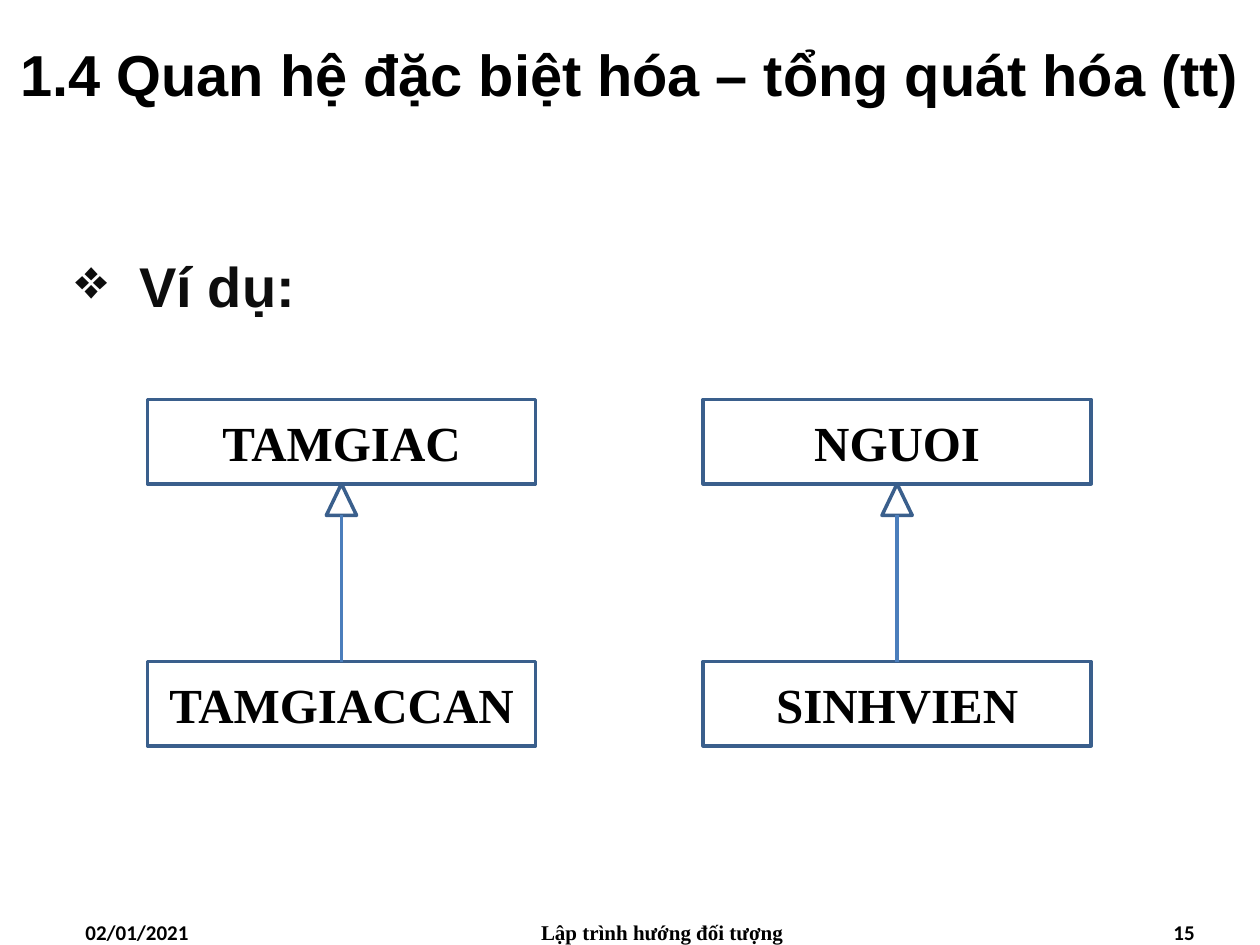
from dataclasses import dataclass

from lxml import etree
from pptx import Presentation
from pptx.dml.color import RGBColor
from pptx.enum.shapes import MSO_CONNECTOR, MSO_SHAPE
from pptx.enum.text import MSO_ANCHOR, PP_ALIGN
from pptx.oxml.ns import qn
from pptx.slide import Slide
from pptx.text.text import TextFrame
from pptx.util import Inches, Pt

RECTANGLE = MSO_SHAPE.RECTANGLE
TRIANGLE = MSO_SHAPE.ISOSCELES_TRIANGLE
STRAIGHT = MSO_CONNECTOR.STRAIGHT
TOP, MIDDLE = MSO_ANCHOR.TOP, MSO_ANCHOR.MIDDLE
LEFT, CENTER = PP_ALIGN.LEFT, PP_ALIGN.CENTER
RIGHT, JUSTIFY = PP_ALIGN.RIGHT, PP_ALIGN.JUSTIFY


@dataclass(frozen=True)
class Theme:
    black: RGBColor = RGBColor(0x00, 0x00, 0x00)
    body: RGBColor = RGBColor(0x0D, 0x0D, 0x0D)
    outline: RGBColor = RGBColor(0x3A, 0x5F, 0x8C)
    connector: RGBColor = RGBColor(0x4B, 0x7E, 0xBC)
    heading_font: str = "Arial"
    footer_font: str = "Calibri"
    serif_font: str = "Times New Roman"
    title_size: float = 33
    body_size: float = 32
    class_size: float = 28
    footer_size: float = 12
    line_width: float = 2


THEME = Theme()


@dataclass(frozen=True)
class Label:
    text: str
    left: float
    top: float
    width: float
    height: float
    font: str
    size: float
    align: PP_ALIGN
    anchor: MSO_ANCHOR = TOP
    color: RGBColor = THEME.black
    bullet: str = ""


@dataclass(frozen=True)
class Inheritance:
    parent: str
    child: str
    left: float


FOOTER_TOP, FOOTER_HEIGHT = 7.25, 0.25
LABELS = [
    Label("1.4 Quan hệ đặc biệt hóa – tổng quát hóa (tt)", 0, 0, 10, 1.17,
          THEME.heading_font, THEME.title_size, CENTER, MIDDLE),
    Label("Ví dụ:", 0.5, 1.75, 9.17, 0.83, THEME.heading_font,
          THEME.body_size, JUSTIFY, color=THEME.body, bullet="❖"),
    Label("02/01/2021", 0.58, FOOTER_TOP, 2.33, FOOTER_HEIGHT,
          THEME.footer_font, THEME.footer_size, LEFT),
    Label("Lập trình hướng đối tượng", 3.67, FOOTER_TOP, 3.17, FOOTER_HEIGHT,
          THEME.serif_font, THEME.footer_size, CENTER),
    Label("15", 7.25, FOOTER_TOP, 2.33, FOOTER_HEIGHT,
          THEME.footer_font, THEME.footer_size, RIGHT),
]
INHERITANCES = [
    Inheritance("TAMGIAC", "TAMGIACCAN", 1.17),
    Inheritance("NGUOI", "SINHVIEN", 5.58),
]

CLASS_WIDTH, CLASS_HEIGHT = 3.08, 0.67
PARENT_TOP, CHILD_TOP = 3.17, 5.25
HEAD_WIDTH, HEAD_HEIGHT = 0.24, 0.25


def write_text(frame: TextFrame, text: str, font: str, size: float,
               align: PP_ALIGN, anchor: MSO_ANCHOR, color: RGBColor) -> None:
    frame.word_wrap = True
    frame.vertical_anchor = anchor
    paragraph = frame.paragraphs[0]
    paragraph.alignment = align
    run = paragraph.add_run()
    run.text = text
    for name, value in {"name": font, "size": Pt(size), "bold": True}.items():
        setattr(run.font, name, value)
    run.font.color.rgb = color


def add_bullet(frame: TextFrame, character: str) -> None:
    """Give the first paragraph a hanging bullet and open line spacing."""
    frame.margin_top = Inches(0.09)
    paragraph = frame.paragraphs[0]
    paragraph.line_spacing = 1.3
    paragraph.space_after = Pt(3)
    properties = paragraph._p.get_or_add_pPr()
    properties.set("marL", str(Inches(0.51)))
    properties.set("indent", str(Inches(-0.51)))
    etree.SubElement(properties, qn("a:buChar")).set("char", character)


def add_label(slide: Slide, label: Label) -> None:
    box = slide.shapes.add_textbox(Inches(label.left), Inches(label.top),
                                   Inches(label.width), Inches(label.height))
    write_text(box.text_frame, label.text, label.font, label.size,
               label.align, label.anchor, label.color)
    if label.bullet:
        add_bullet(box.text_frame, label.bullet)


def add_outline(slide: Slide, kind: MSO_SHAPE, left: float, top: float,
                width: float, height: float, text: str = "") -> None:
    """Add an unfilled shape, with a class name if one is given."""
    shape = slide.shapes.add_shape(kind, Inches(left), Inches(top),
                                   Inches(width), Inches(height))
    shape.shadow.inherit = False
    shape.fill.background()
    shape.line.color.rgb = THEME.outline
    shape.line.width = Pt(THEME.line_width)
    if text:
        write_text(shape.text_frame, text, THEME.serif_font,
                   THEME.class_size, CENTER, MIDDLE, THEME.black)


def add_inheritance(slide: Slide, relation: Inheritance) -> None:
    for name, top in ((relation.parent, PARENT_TOP), (relation.child, CHILD_TOP)):
        add_outline(slide, RECTANGLE, relation.left, top,
                    CLASS_WIDTH, CLASS_HEIGHT, name)
    middle = relation.left + CLASS_WIDTH / 2
    head_top = PARENT_TOP + CLASS_HEIGHT
    add_outline(slide, TRIANGLE, middle - HEAD_WIDTH / 2, head_top,
                HEAD_WIDTH, HEAD_HEIGHT)
    connector = slide.shapes.add_connector(
        STRAIGHT, Inches(middle), Inches(CHILD_TOP),
        Inches(middle), Inches(head_top + HEAD_HEIGHT))
    connector.line.color.rgb = THEME.connector
    connector.line.width = Pt(THEME.line_width)
    etree.SubElement(connector._element.spPr, qn("a:effectLst"))


def main() -> None:
    presentation = Presentation()
    presentation.slide_width = Inches(10)
    presentation.slide_height = Inches(7.5)
    slide = presentation.slides.add_slide(presentation.slide_layouts[6])
    for label in LABELS:
        add_label(slide, label)
    for relation in INHERITANCES:
        add_inheritance(slide, relation)
    presentation.save("out.pptx")


if __name__ == "__main__":
    main()
